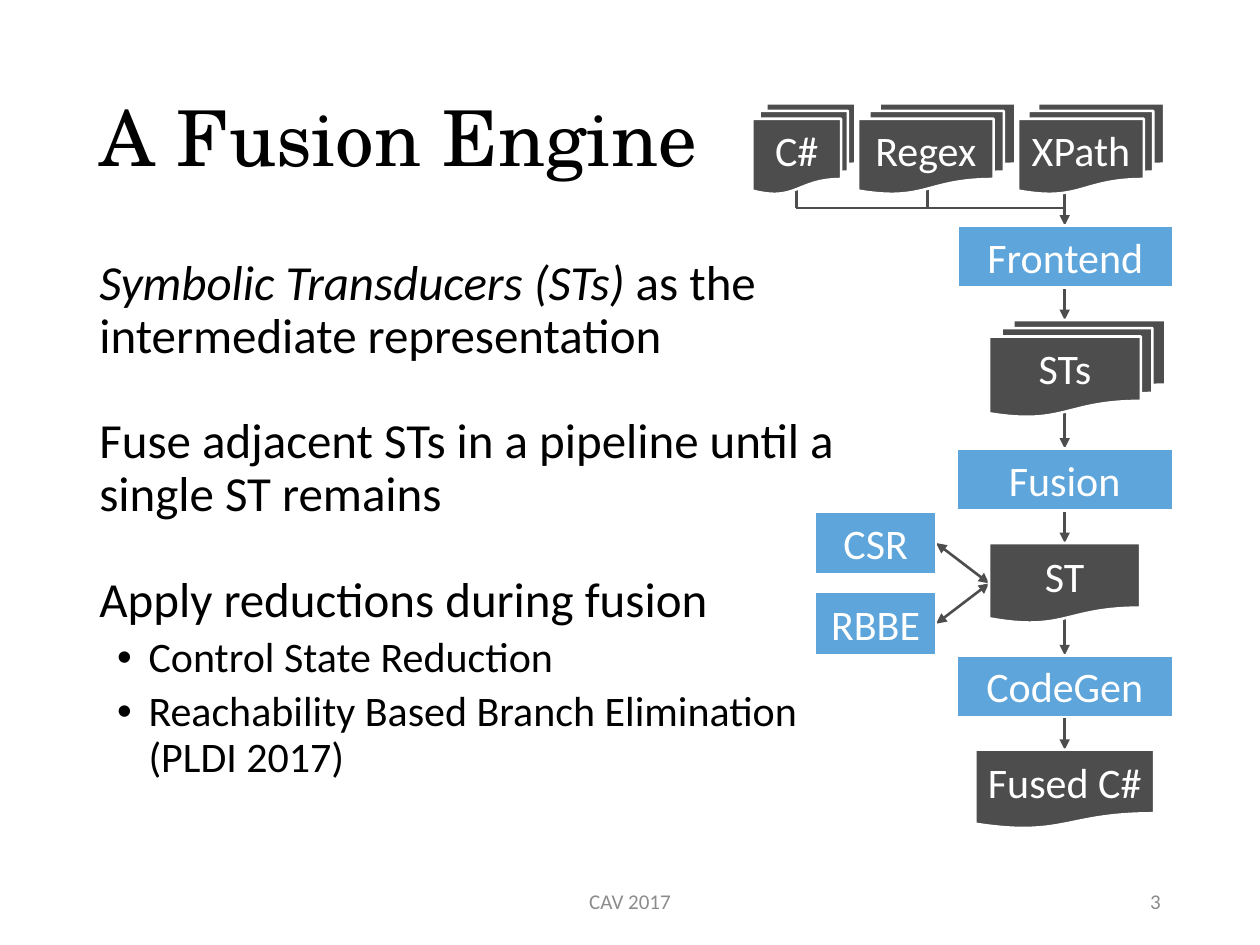
"""Build the "A Fusion Engine" slide: text on the left, tool pipeline on the right."""
from lxml.etree import SubElement
from pptx import Presentation
from pptx.dml.color import RGBColor
from pptx.enum.shapes import MSO_CONNECTOR, MSO_SHAPE
from pptx.enum.text import MSO_ANCHOR, PP_ALIGN
from pptx.oxml.ns import qn
from pptx.util import Inches, Pt

BLACK = RGBColor(0, 0, 0)
WHITE = RGBColor(255, 255, 255)
DARK = RGBColor(0x4D, 0x4D, 0x4D)
BLUE = RGBColor(0x5D, 0xA5, 0xDA)
GRAY = RGBColor(0x8C, 0x8C, 0x8C)
STACK = MSO_SHAPE.FLOWCHART_MULTIDOCUMENT
PAGE = MSO_SHAPE.FLOWCHART_DOCUMENT
STEP = MSO_SHAPE.FLOWCHART_PROCESS

WIDE, HIGH = 10, 7.5
EDGE = 0.69
FOOT = 6.95
MID = 8.45
BUS = 1.65

TITLE = "A Fusion Engine"
POINTS = [
    [("Symbolic Transducers (STs)", True), (" as the intermediate representation", False)],
    [("Fuse adjacent STs in a pipeline until a single ST remains", False)],
    [("Apply reductions during fusion", False)],
]
BULLETS = ["Control State Reduction", "Reachability Based Branch Elimination (PLDI 2017)"]
INPUTS = [("C#", 5.97, 0.82), ("Regex", 6.81, 1.25), ("XPath", 8.08, 1.16)]
FLOW = [
    ("Frontend", STEP, 7.6, 1.79, 1.71, 0.49),
    ("STs", STACK, 7.85, 2.54, 1.4, 0.77),
    ("Fusion", STEP, 7.59, 3.56, 1.72, 0.49),
    ("ST", PAGE, 7.85, 4.31, 1.2, 0.64),
    ("CodeGen", STEP, 7.59, 5.2, 1.72, 0.49),
    ("Fused C#", PAGE, 7.74, 5.95, 1.42, 0.63),
]
SIDE = [("CSR", 4.06), ("RBBE", 4.7)]
SIDE_X, SIDE_W, SIDE_H = 6.47, 0.96, 0.5
BUS_TAPS = [(6.32, 1.51), (7.36, 1.3)]

deck = Presentation()
deck.slide_width, deck.slide_height = Inches(WIDE), Inches(HIGH)
slide = deck.slides.add_slide(deck.slide_layouts[5])
shapes = slide.shapes


def write(frame, text, size=24, font="Calibri", color=BLACK, align=PP_ALIGN.LEFT,
          space=None, before=0, bullet=False, more=False):
    """Put one paragraph of text, or of (text, italic) runs, in a frame."""
    para = frame.add_paragraph() if more else frame.paragraphs[0]
    para.alignment, para.space_before = align, Pt(before)
    if space:
        para.line_spacing = space
    if bullet:
        para.level = 1
        props = para._p.get_or_add_pPr()
        props.set("marL", str(Inches(0.39)))
        props.set("indent", str(-Inches(0.25)))
        SubElement(props, qn("a:buFont"), typeface="Arial")
        SubElement(props, qn("a:buChar"), char="•")
    for part, slant in [(text, False)] if isinstance(text, str) else text:
        run = para.add_run()
        run.text = part
        run.font.size, run.font.name = Pt(size), font
        run.font.color.rgb, run.font.italic = color, slant


def place(left, top, width, height):
    """Add a wrapping text box and return its frame."""
    frame = shapes.add_textbox(*map(Inches, (left, top, width, height))).text_frame
    frame.word_wrap = True
    return frame


def link(x1, y1, x2, y2, ends=("tailEnd",)):
    """Add a line with arrowheads at the given ends."""
    line = shapes.add_connector(MSO_CONNECTOR.STRAIGHT, *map(Inches, (x1, y1, x2, y2)))
    line.line.color.rgb, line.line.width = DARK, Pt(1.5)
    for end in ends:
        SubElement(line.line._get_or_add_ln(), qn(f"a:{end}"), type="triangle")
    SubElement(line._element.spPr, qn("a:effectLst"))


def node(text, kind, left, top, width, height):
    """Add one pipeline shape with its label."""
    shape = shapes.add_shape(kind, *map(Inches, (left, top, width, height)))
    shape.shadow.inherit = False
    shape.fill.solid()
    shape.fill.fore_color.rgb = BLUE if kind == STEP else DARK
    shape.line.color.rgb, shape.line.width = WHITE, Pt(1.5)
    frame = shape.text_frame
    frame.word_wrap = False
    frame.vertical_anchor = MSO_ANCHOR.TOP if kind == STACK else MSO_ANCHOR.MIDDLE
    write(frame, text, color=WHITE, align=PP_ALIGN.CENTER)


head = shapes.title
head.left, head.top, head.width, head.height = map(Inches, (EDGE, 0.4, WIDE - 2 * EDGE, 1.45))
head.text_frame.vertical_anchor = MSO_ANCHOR.MIDDLE
write(head.text_frame, TITLE, size=44, font="TeX Gyre Schola", space=0.9)

body = place(EDGE, 2, 6.45, 4.76)
for i, point in enumerate(POINTS):
    write(body, point, size=28, space=0.9, before=30, more=i > 0)
for item in BULLETS:
    write(body, item, space=0.9, before=5, bullet=True, more=True)

for x, y in BUS_TAPS:
    link(x, y, x, BUS, ends=())
link(BUS_TAPS[0][0], BUS, MID, BUS, ends=())
link(MID, 1.23, MID, FLOW[0][3])
for (_, kind, _, top, _, high), after in zip(FLOW, FLOW[1:]):
    link(MID, top + high - (0 if kind == STEP else 0.04), MID, after[3])
_, _, hub, top, _, high = FLOW[3]
for _, y in SIDE:
    link(hub, top + high / 2, SIDE_X + SIDE_W, y + SIDE_H / 2, ends=("headEnd", "tailEnd"))

for name, x, width in INPUTS:
    node(name, STACK, x, 0.82, width, 0.72)
for item in FLOW:
    node(*item)
for name, y in SIDE:
    node(name, STEP, SIDE_X, y, SIDE_W, SIDE_H)

for text, x, width, align in [("CAV 2017", 3.31, 3.38, PP_ALIGN.CENTER),
                              ("3", 7.06, 2.25, PP_ALIGN.RIGHT)]:
    foot = place(x, FOOT, width, 0.4)
    foot.vertical_anchor = MSO_ANCHOR.MIDDLE
    write(foot, text, size=12, color=GRAY, align=align)

deck.save("out.pptx")
